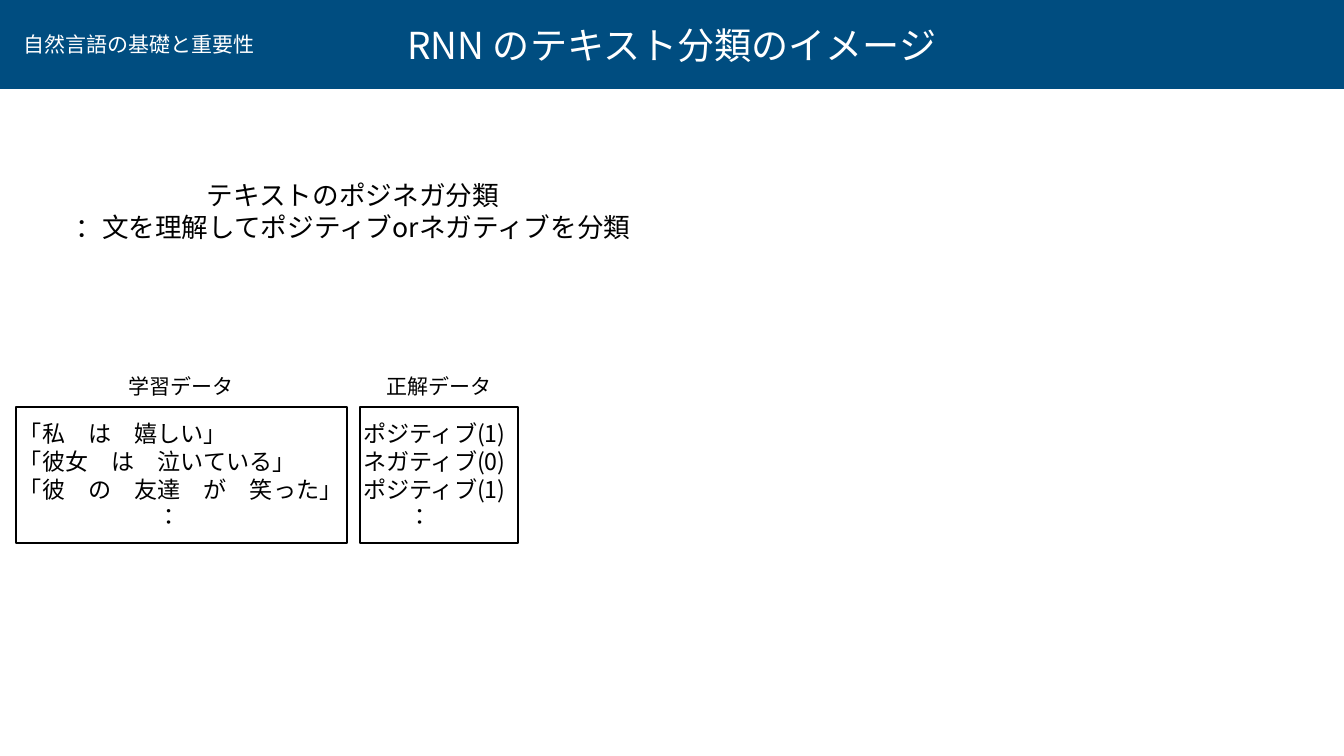
from pptx import Presentation
from pptx.dml.color import RGBColor
from pptx.enum.shapes import MSO_SHAPE as Shape
from pptx.enum.text import MSO_ANCHOR as Anchor, MSO_AUTO_SIZE as AutoSize, PP_ALIGN as Align
from pptx.oxml.ns import qn
from pptx.util import Pt
from lxml.etree import SubElement

PX = 914400 / 50.4
FONT = "Noto Sans CJK JP"
BLUE = RGBColor(0x00, 0x4D, 0x80)
WHITE = RGBColor(0xFF, 0xFF, 0xFF)
BLACK = RGBColor(0x00, 0x00, 0x00)


def emu(*lengths):
    return [round(length * PX) for length in lengths]


def write(shape, lines, size, color, align=Align.CENTER, wrap=False, pitch=None, indents=()):
    """Fill a shape with one paragraph per line; indents maps line number to px."""
    frame = shape.text_frame
    margin = emu(3)[0]
    frame_format = {
        "margin_left": margin, "margin_right": margin,
        "margin_top": margin, "margin_bottom": margin,
        "auto_size": AutoSize.NONE, "vertical_anchor": Anchor.MIDDLE, "word_wrap": wrap,
    }
    for name, value in frame_format.items():
        setattr(frame, name, value)
    frame.text = "\n".join(lines)
    for number, paragraph in enumerate(frame.paragraphs):
        paragraph.alignment = align
        if pitch:
            paragraph.line_spacing = Pt(pitch)
        if number in indents:
            properties = paragraph._p.get_or_add_pPr()
            properties.set("marL", str(emu(indents[number])[0]))
            properties.set("indent", "0")
        font = paragraph.runs[0].font
        font.name, font.size = FONT, Pt(size)
        font.color.rgb = color
        SubElement(font._element, qn("a:ea")).set("typeface", FONT)


presentation = Presentation()
presentation.slide_width, presentation.slide_height = emu(1344, 756)
slide = presentation.slides.add_slide(presentation.slide_layouts[5])
shapes = slide.shapes

# Header band, placed behind the title
band = shapes.add_shape(Shape.RECTANGLE, *emu(0, 0, 1344, 89))
band.shadow.inherit = False
band.fill.solid()
band.fill.fore_color.rgb = BLUE
band.line.fill.background()
title = shapes.title
title.element.addprevious(band.element)

# Title and section name
title.left, title.top, title.width, title.height = emu(398, 23, 548, 43)
write(title, ["RNN のテキスト分類のイメージ"], 53, WHITE)
section = shapes.add_textbox(*emu(21, 31, 237, 27))
write(section, ["自然言語の基礎と重要性"], 30, WHITE)

# Task description
task = shapes.add_textbox(*emu(69, 175, 568, 72))
write(task, ["テキストのポジネガ分類", "：文を理解してポジティブorネガティブを分類"],
      38, BLACK, wrap=True, pitch=46)

# Training data and answers: a frame with a heading centred above it
columns = [
    ("学習データ", 16, 331, 139,
     ["「私　は　嬉しい」", "「彼女　は　泣いている」", "「彼　の　友達　が　笑った」", "："]),
    ("正解データ", 360, 158, 46,
     ["ポジティブ(1)", "ネガティブ(0)", "ポジティブ(1)", "："]),
]
for heading, left, width, colon_indent, lines in columns:
    box = shapes.add_shape(Shape.RECTANGLE, *emu(left, 407, width, 136))
    box.shadow.inherit = False
    box.fill.background()
    box.line.color.rgb = BLACK
    box.line.width = Pt(2)
    write(box, lines, 33, BLACK, align=Align.LEFT, wrap=True, pitch=39.5,
          indents={3: colon_indent})
    label = shapes.add_textbox(*emu(left + (width - 111) / 2, 373, 111, 27))
    write(label, [heading], 30, BLACK)

presentation.save("out.pptx")
